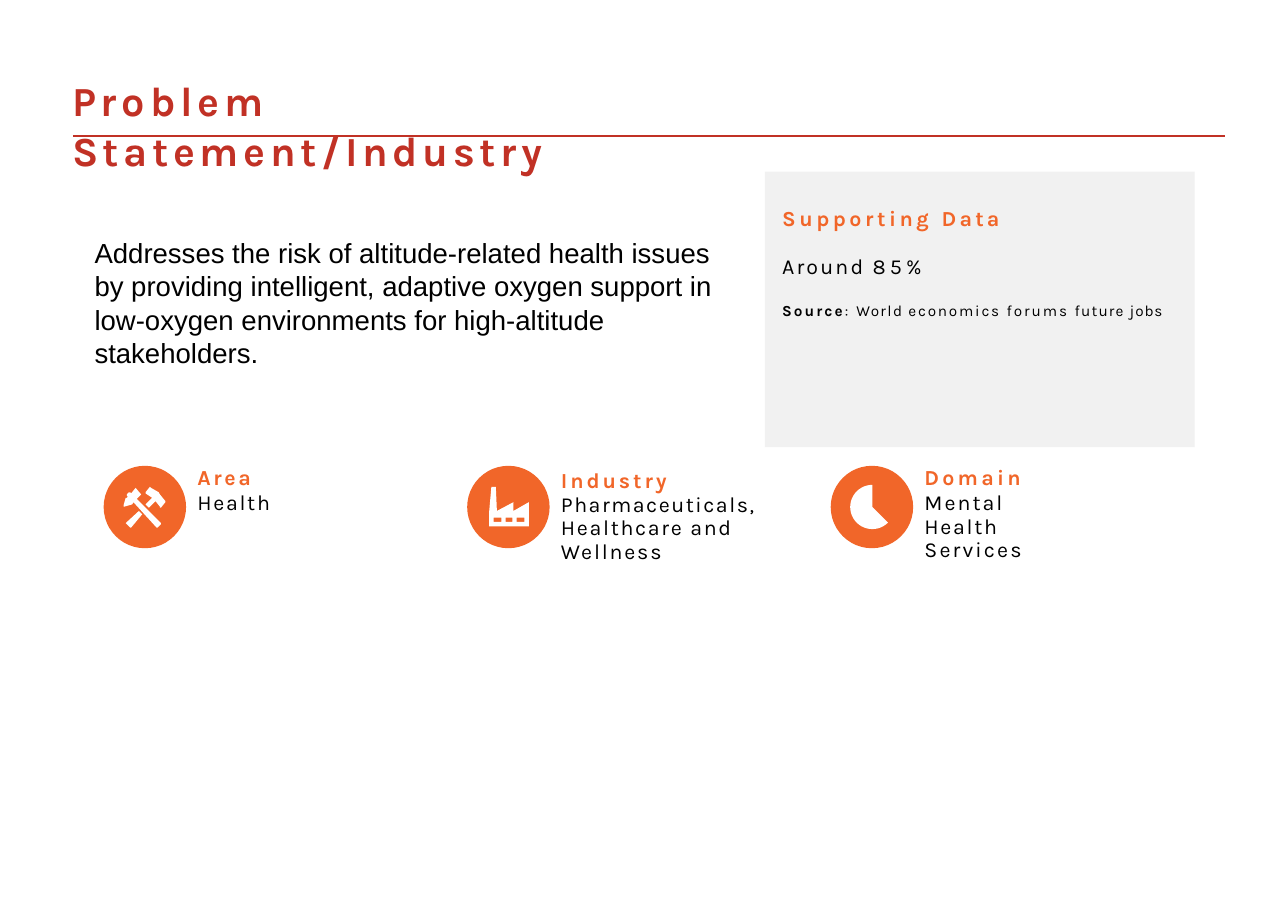
from pptx import Presentation
from pptx.dml.color import RGBColor as RGB
from pptx.enum.shapes import MSO_CONNECTOR as LINK, MSO_SHAPE as SHAPE
from pptx.enum.text import MSO_ANCHOR as ANCHOR, MSO_AUTO_SIZE as FIT, PP_ALIGN as ALIGN
from pptx.oxml.ns import qn
from pptx.util import Cm, Pt
from lxml.etree import SubElement

HUES = {"red": "C13125", "orange": "F16629", "grey": "F1F1F1", "white": "FFFFFF", "black": "000000"}
UNIT = Cm(0.0254)  # icon grid: 75 units across a disc
DISC, TOP = 1.9, 10.74

TOOLS = [
    [(35, 44), (32, 41), (20, 52), (24, 56), (25, 56)],
    [(52, 52), (30, 30), (34, 26), (29, 20), (25, 25), (24, 24), (23, 24), (21, 26), (21, 27),
     (22, 28), (21, 29), (20, 29), (18, 36), (18, 37), (19, 37), (26, 35), (27, 33), (48, 56),
     (49, 56), (52, 53)],
    [(56, 33), (56, 32), (51, 26), (50, 24), (43, 20), (42, 19), (38, 24), (38, 25), (44, 29),
     (38, 35), (41, 38), (47, 32), (51, 37), (51, 38), (52, 38)],
]
PLANT = [
    [(56, 55), (20, 55), (20, 41), (22, 19), (26, 19), (27, 41), (56, 41), (56, 47), (24, 47),
     (24, 51), (56, 51)],
    [(42, 41), (27, 41), (42, 33)],
    [(56, 41), (42, 41), (56, 33)],
] + [[(x, 47), (x + 4, 47), (x + 4, 51), (x, 51)] for x in (31, 41, 52)]


def color(name):
    return RGB.from_string(HUES[name])


def paint(shape, hue):
    shape.shadow.inherit = False
    shape.fill.solid()
    shape.fill.fore_color.rgb = color(hue)
    shape.line.fill.background()


def add_run(para, text, size=14, hue="black", bold=False, gap=0, font="Karla"):
    """Add one run; gap is the letter spacing in points."""
    run = para.add_run()
    run.text = text
    run.font.name, run.font.size, run.font.bold = font, Pt(size), bold
    run.font.color.rgb = color(hue)
    if gap:
        run.font._element.set("spc", str(round(gap * 100)))


def set_frame(shape, left=0, top=0, anchor=ANCHOR.TOP):
    """Prepare the text frame, insets in cm, and return it."""
    frame = shape.text_frame
    frame.word_wrap, frame.auto_size = True, FIT.NONE
    frame.vertical_anchor = anchor
    frame.margin_left, frame.margin_top = Cm(left), Cm(top)
    frame.margin_right = frame.margin_bottom = 0
    return frame


def fill_text(frame, paras):
    """Each paragraph is (space before, line height or None, runs)."""
    for i, (before, height, runs) in enumerate(paras):
        para = frame.add_paragraph() if i else frame.paragraphs[0]
        para.alignment = ALIGN.LEFT
        if before:
            para.space_before = Pt(before)
        if height:
            para.line_spacing = Pt(height)
        for text, style in runs:
            add_run(para, text, **style)


def add_text(slide, box, paras, **frame):
    shape = slide.shapes.add_textbox(*map(Cm, box))
    fill_text(set_frame(shape, **frame), paras)


def add_title(slide):
    title = slide.shapes.title
    title.left, title.top, title.width, title.height = map(Cm, (1.63, 1.68, 15.7, 1.22))
    style = dict(size=27, hue="red", bold=True)
    fill_text(set_frame(title, 0.03, 0.06), [
        (0, None, [("Problem ", dict(style, gap=3.2)),
                   ("Statement/Industry", dict(style, gap=3))])])


def add_rule(slide):
    rule = slide.shapes.add_connector(LINK.STRAIGHT, Cm(1.68), Cm(3.13), Cm(28.24), Cm(3.13))
    rule.line.color.rgb = color("red")
    rule.line.width = Pt(1.5)
    SubElement(rule._element.spPr, qn("a:effectLst"))


def add_panel(slide):
    panel = slide.shapes.add_shape(SHAPE.RECTANGLE, *map(Cm, (17.63, 3.96, 9.91, 6.35)))
    paint(panel, "grey")
    head = dict(hue="orange", bold=True)
    words = [(": ", 1.4), ("World ", 0.9), ("economics ", 1.2), ("forums ", 1.3),
             ("future ", 0.8), ("jobs", 0.6)]
    fill_text(set_frame(panel, 0.4, 0.76), [
        (0, None, [("Supporting ", dict(head, gap=2.3)), ("Data", dict(head, gap=2.1))]),
        (14.6, None, [("Around ", dict(gap=1.4)), ("85%", dict(gap=2.7))]),
        (14.8, None, [("Source", dict(size=10, bold=True, gap=1.4))]
         + [(word, dict(size=10, gap=gap)) for word, gap in words]),
    ])


def draw_icon(shapes, left, loops):
    """Draw closed loops, given in icon units, as one white shape."""
    pen = shapes.build_freeform(*loops[0][0], scale=UNIT)
    for i, loop in enumerate(loops):
        if i:
            pen.move_to(*loop[0])
        pen.add_line_segments(loop[1:], close=True)
    paint(pen.convert_to_shape(Cm(left), Cm(TOP)), "white")


def draw_pie(shapes, left):
    pie = shapes.add_shape(SHAPE.PIE, *map(Cm, (left + 0.45, TOP + 0.44, 1.02, 1.02)))
    pie.adjustments[0], pie.adjustments[1] = 27, 162  # 45 and 270 degrees
    paint(pie, "white")


def add_fact(slide, left, size, inset, loops, paras):
    """Add a disc with its icon and the text beside it."""
    shapes = slide.shapes.add_group_shape().shapes
    paint(shapes.add_shape(SHAPE.OVAL, *map(Cm, (left, TOP, DISC, DISC))), "orange")
    if loops:
        draw_icon(shapes, left, loops)
    else:
        draw_pie(shapes, left)
    add_text(slide, (left + 2.13, TOP - 0.1, *size), paras, left=0.03, top=inset)


def main():
    deck = Presentation()
    deck.slide_width, deck.slide_height = Cm(29.69), Cm(20.98)
    slide = deck.slides.add_slide(deck.slide_layouts[5])
    add_rule(slide)
    add_title(slide)
    add_panel(slide)

    head = dict(hue="orange", bold=True)
    facts = [
        ((1.8, 1.22), 0.09, TOOLS, [
            (0, 16.1, [("Area", dict(head, gap=1.7))]),
            (0, 16.1, [("Health", dict(gap=1.1))])]),
        ((4.55, 2.29), 0.18, PLANT, [
            (0, 15.4, [("Industry ", dict(head, gap=1.9)),
                       ("Pharmaceuticals, ", dict(gap=1)),
                       ("Healthcare and ", dict(gap=1.1)),
                       ("Wellness", dict(gap=1.2))])]),
        ((3.7, 1.75), 0.09, None, [
            (0, 16.1, [("Domain", dict(head, gap=2.1))]),
            (0.9, 15.4, [("Mental ", dict(gap=1.3)), ("Health ", dict(gap=1.1)),
                         ("Services", dict(gap=1.4))])]),
    ]
    for i, fact in enumerate(facts):
        add_fact(slide, 2.39 + 8.38 * i, *fact)

    add_text(slide, (1.93, 5.31, 15.14, 3.33), [
        (0, None, [("Addresses the risk of altitude-related health issues by providing "
                    "intelligent, adaptive oxygen support in low-oxygen environments for "
                    "high-altitude stakeholders.", dict(size=18, font="Arial"))])],
        left=0.25, anchor=ANCHOR.MIDDLE)
    deck.save("out.pptx")


if __name__ == "__main__":
    main()
